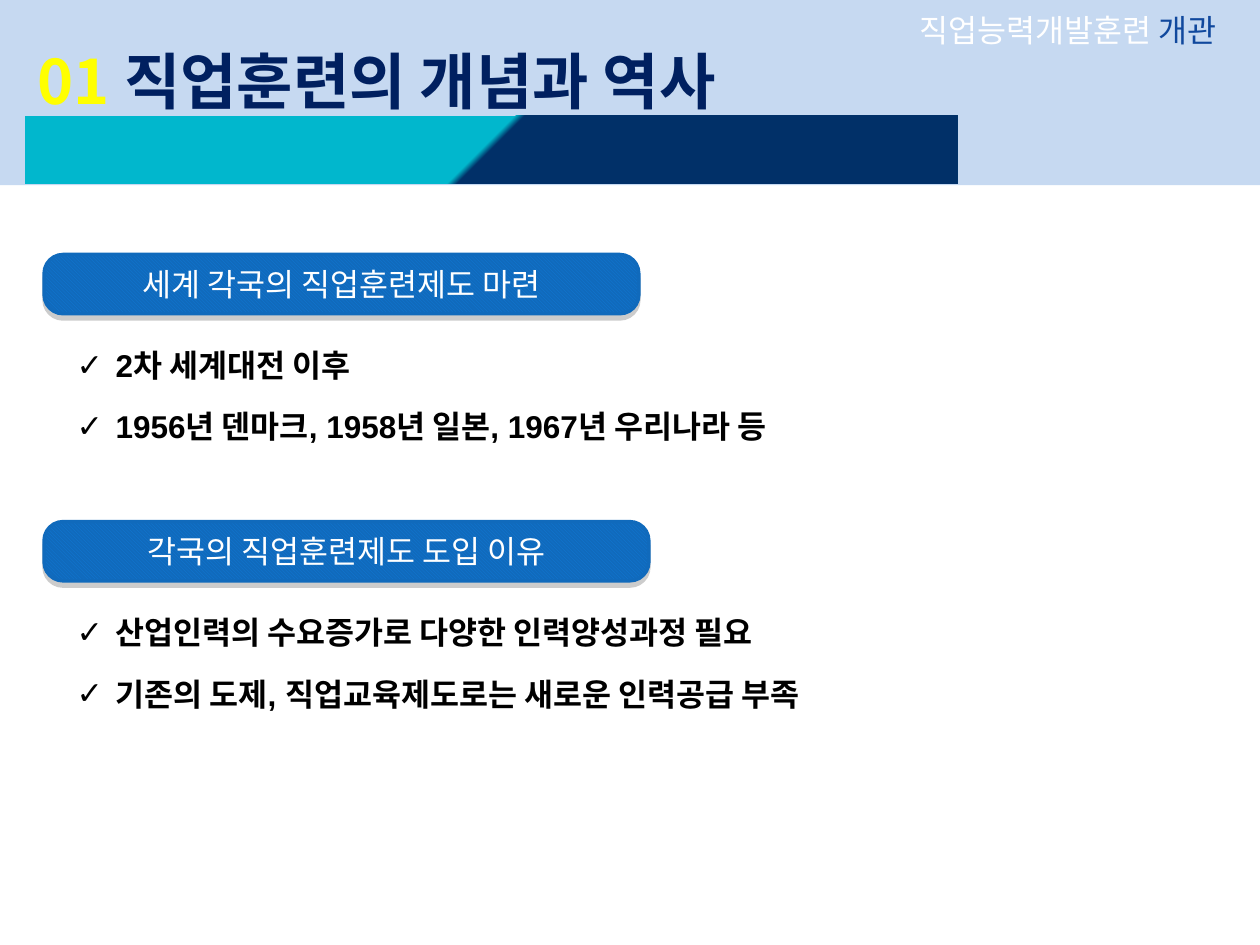
from dataclasses import dataclass

from lxml.etree import SubElement
from pptx import Presentation
from pptx.dml.color import RGBColor
from pptx.enum.dml import MSO_PATTERN
from pptx.enum.shapes import MSO_SHAPE
from pptx.enum.text import MSO_ANCHOR, MSO_AUTO_SIZE, PP_ALIGN
from pptx.oxml.ns import qn
from pptx.util import Inches, Pt

PALE_BLUE = RGBColor(0xC6, 0xD9, 0xF1)
YELLOW = RGBColor(0xFF, 0xFF, 0x00)
NAVY = RGBColor(0x00, 0x20, 0x60)
DEEP_BLUE = RGBColor(0x10, 0x48, 0x9D)
TEAL = RGBColor(0x01, 0xB7, 0xCD)
DARK_NAVY = RGBColor(0x01, 0x30, 0x68)
BUTTON_LIGHT = RGBColor(0x12, 0x7A, 0xD8)
BUTTON_BLUE = RGBColor(0x10, 0x6A, 0xBC)
WHITE = RGBColor(0xFF, 0xFF, 0xFF)
BLACK = RGBColor(0x00, 0x00, 0x00)

KOREAN_FONT = "Noto Sans CJK KR"
BODY_FONT = "Arial"


@dataclass
class Section:
    heading: str
    top: float
    width: float
    points: list[str]


SECTIONS = [
    Section("세계 각국의 직업훈련제도 마련", 2.02, 4.72,
            ["2차 세계대전 이후",
             "1956년 덴마크, 1958년 일본, 1967년 우리나라 등"]),
    Section("각국의 직업훈련제도 도입 이유", 4.14, 4.8,
            ["산업인력의 수요증가로 다양한 인력양성과정 필요",
             "기존의 도제, 직업교육제도로는 새로운 인력공급 부족"]),
]


def place(shape, left: float, top: float, width: float, height: float) -> None:
    shape.left, shape.top = Inches(left), Inches(top)
    shape.width, shape.height = Inches(width), Inches(height)


def format_run(span, size: float, color: RGBColor, bold: bool = False,
               font: str = KOREAN_FONT) -> None:
    span.font.name = font
    span.font.size = Pt(size)
    span.font.bold = bold
    span.font.color.rgb = color
    properties = span.font._element
    SubElement(properties, qn("a:ea")).set("typeface", KOREAN_FONT)


def add_runs(para, parts: list[tuple[str, RGBColor]], size: float,
             bold: bool = False) -> None:
    for text, color in parts:
        span = para.add_run()
        span.text = text
        format_run(span, size, color, bold)


def add_bar(page, left: float, top: float, width: float, height: float):
    bar = page.shapes.add_shape(MSO_SHAPE.RECTANGLE, Inches(left), Inches(top),
                                Inches(width), Inches(height))
    bar.shadow.inherit = False
    bar.line.fill.background()
    return bar


def add_heading(page, section: Section) -> None:
    button = page.shapes.add_shape(
        MSO_SHAPE.ROUNDED_RECTANGLE, Inches(0.35), Inches(section.top),
        Inches(section.width), Inches(0.47))
    button.adjustments[0] = 0.32
    button.fill.patterned()
    button.fill.pattern = MSO_PATTERN.LIGHT_DOWNWARD_DIAGONAL
    button.fill.fore_color.rgb = BUTTON_LIGHT
    button.fill.back_color.rgb = BUTTON_BLUE
    button.line.color.rgb = BUTTON_BLUE
    button.line.width = Pt(2)

    # Soft drop shadow straight below
    button.shadow.inherit = False
    effects = button._element.spPr.find(qn("a:effectLst"))
    shadow = SubElement(effects, qn("a:outerShdw"), blurRad="0",
                        dist=str(Pt(3)), dir="5400000", algn="t", rotWithShape="0")
    shade = SubElement(shadow, qn("a:srgbClr"), val=str(BLACK))
    SubElement(shade, qn("a:alpha"), val="20000")

    frame = button.text_frame
    frame.text = section.heading
    frame.vertical_anchor = MSO_ANCHOR.MIDDLE
    para = frame.paragraphs[0]
    para.alignment = PP_ALIGN.CENTER
    format_run(para.runs[0], 18, WHITE)


def add_points(page, section: Section) -> None:
    box = page.shapes.add_textbox(Inches(0.51), Inches(section.top + 0.62),
                                  Inches(8.74), Inches(1.03))
    frame = box.text_frame
    frame.word_wrap = True
    frame.auto_size = MSO_AUTO_SIZE.SHAPE_TO_FIT_TEXT
    frame.text = "\n".join(section.points)
    for index, para in enumerate(frame.paragraphs):
        para.alignment = PP_ALIGN.JUSTIFY
        para.line_spacing = 1.2
        para.space_before = Pt(9 if index else 0)
        format_run(para.runs[0], 18, BLACK, True, BODY_FONT)
        properties = para._p.get_or_add_pPr()
        properties.set("marL", str(Inches(0.31)))
        properties.set("indent", str(-Inches(0.31)))
        SubElement(properties, qn("a:buFont"), typeface=BODY_FONT)
        SubElement(properties, qn("a:buChar"), char="✓")


def main() -> None:
    deck = Presentation()
    deck.slide_width, deck.slide_height = Inches(10), Inches(7.5)
    page = deck.slides.add_slide(deck.slide_layouts[5])

    # Title over the header band
    title = page.shapes.title
    place(title, 0.2, 0, 6.68, 0.98)
    frame = title.text_frame
    frame.word_wrap = True
    frame.auto_size = MSO_AUTO_SIZE.SHAPE_TO_FIT_TEXT
    frame.vertical_anchor = MSO_ANCHOR.TOP
    para = frame.paragraphs[0]
    para.alignment = PP_ALIGN.LEFT
    para.line_spacing = 1.5
    add_runs(para, [("01 ", YELLOW), ("직업훈련의 개념과 역사", NAVY)], 35, True)

    band = add_bar(page, 0, 0, 10, 1.47)
    band.fill.solid()
    band.fill.fore_color.rgb = PALE_BLUE
    title.element.addprevious(band.element)

    # Course name at the top right
    course = page.shapes.add_textbox(Inches(7.2), Inches(0.04),
                                     Inches(2.81), Inches(0.4))
    course.text_frame.word_wrap = False
    course.text_frame.auto_size = MSO_AUTO_SIZE.SHAPE_TO_FIT_TEXT
    add_runs(course.text_frame.paragraphs[0],
             [("직업능력개발훈련", WHITE), (" 개관", DEEP_BLUE)], 18)

    # Two-colour ribbon with a slanted edge
    ribbon = add_bar(page, 0.2, 0.92, 7.4, 0.54)
    ribbon.fill.gradient()
    ribbon.fill.gradient_angle = 315
    stops = [(0.49, TEAL), (0.5, DARK_NAVY)]
    for stop, (position, color) in zip(ribbon.fill.gradient_stops, stops):
        stop.position = position
        stop.color.rgb = color

    # Headings with their points
    for section in SECTIONS:
        add_points(page, section)
        add_heading(page, section)

    deck.save("out.pptx")


if __name__ == "__main__":
    main()
